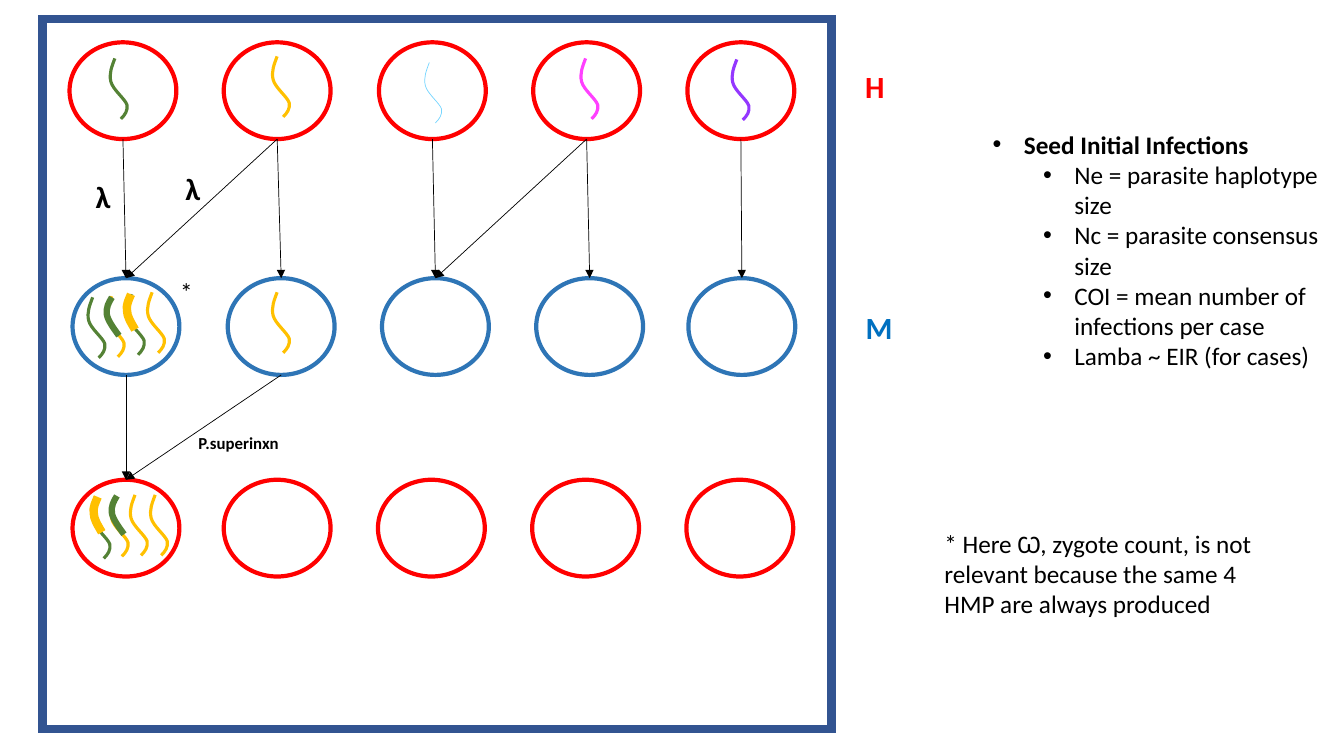
from dataclasses import dataclass

import pptx
import pptx.dml.color
import pptx.enum.shapes
import pptx.enum.text
import pptx.oxml.ns
import pptx.util

PX = 9144  # EMU in one px, 100 px to the inch
COLOURS = {
    "frame": "325491", "human": "FF0000", "mosquito": "2E75B6", "mosquito label": "0070C0",
    "white": "FFFFFF", "black": "000000", "green": "548235", "yellow": "FFC000",
    "sky": "76D6FF", "pink": "FF40FF", "violet": "9437FF",
}
CELL_W, CELL_H = 106, 96

# Bezier points relative to each strand's start, three per curve
WHOLE = [(-3, 8), (-6, 15), (-4, 23), (-2, 31), (10, 40), (12, 46), (13, 52), (10, 56), (6, 60)]
LONG_PIECE = [(-3, 5), (-6, 10), (-5, 17), (-4, 23), (2, 31), (7, 38)]
SHORT_PIECE = [(-2, 5), (-5, 10), (-4, 16), (-4, 22), (0, 28), (4, 35)]


@dataclass
class HostRow:
    colour: str
    top: int
    lefts: list[int]


@dataclass
class Strand:
    x: int
    y: int
    colour: str
    width: float = 2.25
    curve: list[tuple[int, int]] | None = None


@dataclass
class Label:
    text: str
    box: tuple[int, int, int, int]
    size: int
    colour: str = "black"
    bold: bool = False
    centred: bool = False


ROWS = {
    "humans": HostRow("human", 42, [69, 222, 376, 529, 682]),
    "mosquitoes": HostRow("mosquito", 276, [72, 226, 379, 532, 683]),
    "next humans": HostRow("human", 476, [72, 222, 375, 528, 681]),
}

# Source row, source column, target row, target column
BITES = [("humans", start, "mosquitoes", end)
         for start, end in [(0, 0), (1, 1), (3, 2), (4, 4), (1, 0), (3, 3), (2, 2)]]
BITES += [("mosquitoes", start, "next humans", 0) for start in (0, 1)]

STRANDS = [
    # Seed haplotypes in the first humans
    Strand(114, 58, "green"), Strand(275, 56, "yellow"), Strand(426, 62, "sky", 0.5),
    Strand(581, 58, "pink"), Strand(731, 59, "violet"),
    # Unchanged haplotypes in the mosquitoes and the next human
    Strand(151, 290, "yellow"), Strand(92, 295, "green"), Strand(275, 290, "yellow"),
    Strand(134, 491, "yellow"), Strand(154, 491, "yellow"),
]

# Each recombinant is a strand with a thicker piece over it
RECOMBINANTS = [
    (Strand(111, 294, "yellow"), Strand(111, 295, "green", 4.5, LONG_PIECE)),
    (Strand(131, 292, "green"), Strand(130, 292, "yellow", 6, SHORT_PIECE)),
    (Strand(115, 492, "yellow"), Strand(116, 492, "green", 4.5, LONG_PIECE)),
    (Strand(97, 494, "green"), Strand(97, 493, "yellow", 6, SHORT_PIECE)),
]

LABELS = [
    Label("λ", (85, 171, 31, 47), 22, bold=True),
    Label("λ", (174, 163, 31, 47), 22, bold=True),
    Label("H", (838, 62, 60, 47), 22, "human", True, True),
    Label("M", (842, 301, 60, 47), 22, "mosquito label", True, True),
    Label("* Here Ѡ, zygote count, is not relevant because the same 4 HMP are always produced",
          (927, 519, 358, 101), 18),
    Label("*", (169, 269, 23, 40), 18),
    Label("P.superinxn", (187, 424, 371, 30), 12, bold=True),
]

PARAMETERS = [
    "Ne = parasite haplotype size",
    "Nc = parasite consensus size",
    "COI = mean number of infections per case",
    "Lamba ~ EIR (for cases)",
]


def rgb(name: str) -> pptx.dml.color.RGBColor:
    return pptx.dml.color.RGBColor.from_string(COLOURS[name])


def append_xml(parent, tag: str, **attributes: str):
    child = parent.makeelement(pptx.oxml.ns.qn(tag), attributes)
    parent.append(child)
    return child


def set_line(shape, colour: str, width: float) -> None:
    shape.line.color.rgb = rgb(colour)
    shape.line.width = pptx.util.Pt(width)


def add_outline(slide, kind, box: tuple[int, int, int, int], colour: str, width: float,
                fill: str | None = None):
    shape = slide.shapes.add_shape(kind, *(v * PX for v in box))
    shape.shadow.inherit = False
    if fill:
        shape.fill.solid()
        shape.fill.fore_color.rgb = rgb(fill)
    else:
        shape.fill.background()
    set_line(shape, colour, width)
    append_xml(shape.line._get_or_add_ln(), "a:miter", lim="800000")
    return shape


def add_bite(slide, source, target) -> None:
    arrow = slide.shapes.add_connector(
        pptx.enum.shapes.MSO_CONNECTOR.STRAIGHT,
        source.left + source.width // 2, source.top + source.height,
        target.left + target.width // 2, target.top)
    arrow.end_connect(target, 0)
    set_line(arrow, "black", 0.5)
    append_xml(arrow.line._get_or_add_ln(), "a:tailEnd", type="triangle")
    append_xml(arrow._element.spPr, "a:effectLst")


def add_strand(shapes, strand: Strand) -> None:
    points = [((strand.x + dx) * PX, (strand.y + dy) * PX) for dx, dy in strand.curve or WHOLE]
    builder = shapes.build_freeform(strand.x * PX, strand.y * PX)
    builder.add_line_segments(points[2::3], close=False)
    shape = builder.convert_to_shape()
    shape.shadow.inherit = False
    shape.fill.background()
    set_line(shape, strand.colour, strand.width)

    # Turn each straight segment into a cubic curve
    outline = next(shape._element.iter(pptx.oxml.ns.qn("a:path")))
    for segment in outline.findall(pptx.oxml.ns.qn("a:lnTo")):
        outline.remove(segment)
    for i in range(0, len(points), 3):
        curve = append_xml(outline, "a:cubicBezTo")
        for x, y in points[i:i + 3]:
            append_xml(curve, "a:pt", x=str(x - shape.left), y=str(y - shape.top))


def add_text_frame(slide, box: tuple[int, int, int, int]):
    frame = slide.shapes.add_textbox(*(v * PX for v in box)).text_frame
    frame.word_wrap = True
    frame.auto_size = pptx.enum.text.MSO_AUTO_SIZE.SHAPE_TO_FIT_TEXT
    return frame


def write(frame, text: str, *, size: int, colour: str = "black", bold: bool = False,
          centred: bool = False, bullet_indent: int = 0, level: int = 0) -> None:
    paragraph = frame.add_paragraph() if frame.text else frame.paragraphs[0]
    paragraph.level = level
    if centred:
        paragraph.alignment = pptx.enum.text.PP_ALIGN.CENTER
    run = paragraph.add_run()
    run.text = text
    run.font.name = "Calibri"
    run.font.size = pptx.util.Pt(size)
    run.font.bold = bold
    run.font.color.rgb = rgb(colour)
    if bullet_indent:
        properties = paragraph._p.get_or_add_pPr()
        properties.set("marL", str(bullet_indent * PX))
        properties.set("indent", str(-31 * PX))
        append_xml(properties, "a:buFont", typeface="Arial")
        append_xml(properties, "a:buChar", char="•")


def main() -> None:
    deck = pptx.Presentation()
    deck.slide_width, deck.slide_height = 4000 * PX // 3, 750 * PX
    slide = deck.slides.add_slide(deck.slide_layouts[6])
    presets = pptx.enum.shapes.MSO_SHAPE

    # Population frame and hosts
    add_outline(slide, presets.RECTANGLE, (42, 19, 783, 704), "frame", 6)
    hosts = {name: [add_outline(slide, presets.OVAL, (left, row.top, CELL_W, CELL_H),
                                row.colour, 3, "white") for left in row.lefts]
             for name, row in ROWS.items()}

    # Transmission and parasites
    for source_row, source, target_row, target in BITES:
        add_bite(slide, hosts[source_row][source], hosts[target_row][target])
    for strand in STRANDS:
        add_strand(slide.shapes, strand)
    for recombinant in RECOMBINANTS:
        pair = slide.shapes.add_group_shape()
        for strand in recombinant:
            add_strand(pair.shapes, strand)

    # Labels and model parameters
    for label in LABELS:
        write(add_text_frame(slide, label.box), label.text, size=label.size,
              colour=label.colour, bold=label.bold, centred=label.centred)
    seeding = add_text_frame(slide, (975, 123, 358, 252))
    write(seeding, "Seed Initial Infections", size=18, bold=True, bullet_indent=31)
    for parameter in PARAMETERS:
        write(seeding, parameter, size=18, bullet_indent=81, level=1)

    deck.save("out.pptx")


if __name__ == "__main__":
    main()
